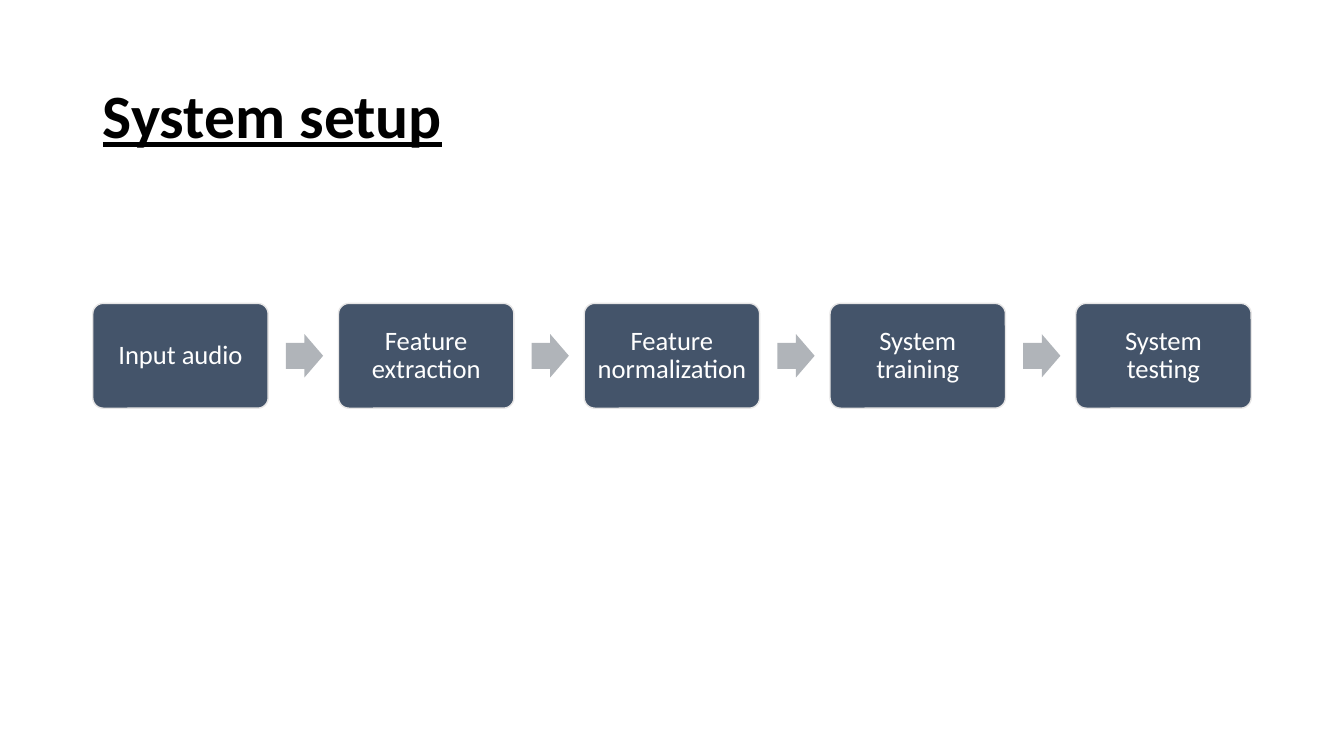
from lxml import etree
from pptx import Presentation
from pptx.dml.color import RGBColor
from pptx.enum.shapes import MSO_SHAPE as Shape
from pptx.enum.text import MSO_ANCHOR as Anchor, PP_ALIGN as Align
from pptx.oxml.ns import qn
from pptx.util import Inches, Pt


def color(value):
    return RGBColor.from_string(value)


def add_run(para, text, size, value):
    run = para.add_run()
    run.text = text
    run.font.name = "Calibri"
    run.font.size = Pt(size)
    run.font.color.rgb = color(value)
    return run


deck = Presentation()
deck.slide_width, deck.slide_height = Inches(13.33), Inches(7.5)
page = deck.slides.add_slide(deck.slide_layouts[5])

# Title, with a tab that carries the underline beyond the words
title = page.shapes.title
title.left, title.top = Inches(0.92), Inches(0.43)
title.width, title.height = Inches(11.5), Inches(1.49)
title.text_frame.vertical_anchor = Anchor.MIDDLE
para = title.text_frame.paragraphs[0]
para.alignment = Align.LEFT
para.line_spacing = 0.9
tabs = etree.SubElement(para._p.get_or_add_pPr(), qn("a:tabLst"))
etree.SubElement(tabs, qn("a:tab"), pos=str(Inches(4.74)), algn="l")
heading = add_run(para, "System setup\t", 44, "000000")
heading.font.bold = True
heading.font.underline = True

# Process chain: equal steps with an arrow in each gap
steps = ["Input audio", "Feature extraction", "Feature normalization",
         "System training", "System testing"]
left, middle, pitch = 0.92, 3.53, 2.4375
box_width, box_height = 1.74, 1.04
arrow_width, arrow_height, arrow_offset = 0.37, 0.43, 1.915

for column, step in enumerate(steps):
    x = left + column * pitch
    box = page.shapes.add_shape(
        Shape.ROUNDED_RECTANGLE, Inches(x), Inches(middle - box_height / 2),
        Inches(box_width), Inches(box_height))
    box.adjustments[0] = 0.1
    box.shadow.inherit = False
    box.fill.solid()
    box.fill.fore_color.rgb = color("44546A")
    box.line.color.rgb = color("E7E6E6")
    box.line.width = Pt(1)
    frame = box.text_frame
    frame.word_wrap = True
    frame.vertical_anchor = Anchor.MIDDLE
    frame.margin_left = frame.margin_right = Inches(0.08)
    frame.margin_top = frame.margin_bottom = Inches(0.08)
    para = frame.paragraphs[0]
    para.alignment = Align.CENTER
    para.line_spacing = 0.9
    add_run(para, step, 19, "FFFFFF")

    if column < len(steps) - 1:
        arrow = page.shapes.add_shape(
            Shape.RIGHT_ARROW, Inches(x + arrow_offset),
            Inches(middle - arrow_height / 2),
            Inches(arrow_width), Inches(arrow_height))
        arrow.adjustments[0] = 0.6
        arrow.adjustments[1] = 0.5
        arrow.shadow.inherit = False
        arrow.fill.solid()
        arrow.fill.fore_color.rgb = color("B0B4B9")
        arrow.line.fill.background()

deck.save("out.pptx")
